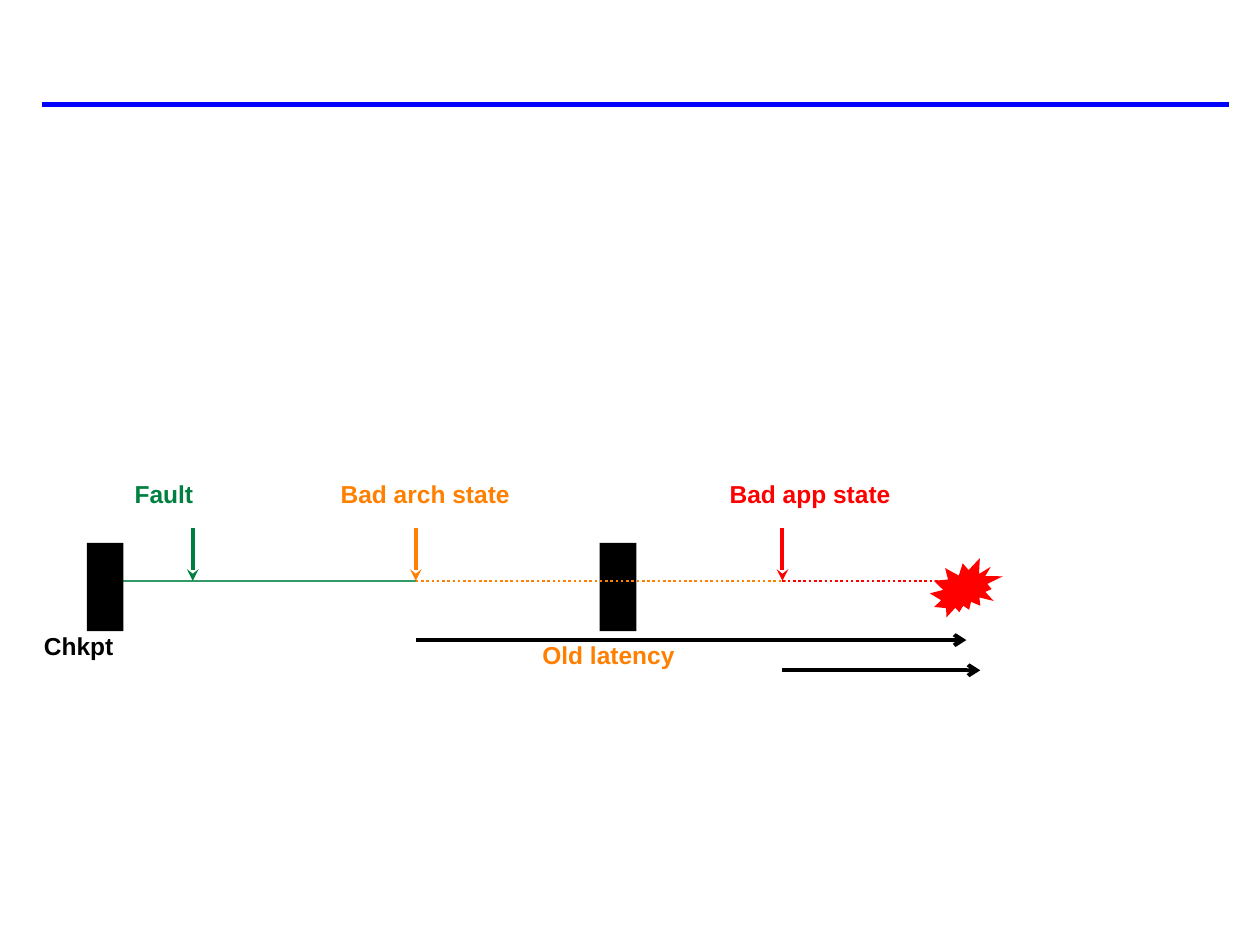
"""Build a fault timeline with checkpoints, state changes and detection latencies."""
from dataclasses import dataclass

from lxml.etree import SubElement
from pptx import Presentation
from pptx.dml.color import RGBColor
from pptx.enum.dml import MSO_LINE
from pptx.enum.shapes import MSO_CONNECTOR, MSO_SHAPE
from pptx.enum.text import PP_ALIGN
from pptx.oxml.ns import qn
from pptx.util import Inches, Pt


@dataclass(frozen=True)
class Theme:
    black: str = "000000"
    blue: str = "0000FF"
    light_green: str = "339966"
    green: str = "008040"
    orange: str = "FF8000"
    red: str = "FF0000"
    font: str = "Arial"
    label_size: int = 14
    thin: float = 1.5
    medium: float = 2.25
    thick: float = 3


theme = Theme()
presentation = Presentation()
presentation.slide_width = Inches(10)
presentation.slide_height = Inches(7.5)
slide = presentation.slides.add_slide(presentation.slide_layouts[6])


def add_line(start, end, color, width, dash=None, arrowhead=None):
    connector = slide.shapes.add_connector(
        MSO_CONNECTOR.STRAIGHT, *(Inches(value) for value in start + end))
    connector.line.color.rgb = RGBColor.from_string(color)
    line_format = {"width": Pt(width), "dash_style": dash}
    for name, value in line_format.items():
        setattr(connector.line, name, value)
    if arrowhead:
        SubElement(connector.line._get_or_add_ln(), qn("a:tailEnd"), type=arrowhead)
    SubElement(connector._element.spPr, qn("a:effectLst"))


def add_solid(shape_type, left, top, width, height, color):
    shape = slide.shapes.add_shape(
        shape_type, Inches(left), Inches(top), Inches(width), Inches(height))
    shape.shadow.inherit = False
    shape.fill.solid()
    shape.fill.fore_color.rgb = RGBColor.from_string(color)
    shape.line.fill.background()


timeline_y = 4.61
fault_x, arch_x, app_x = 1.53, 3.3, 6.21
checkpoint_lefts = (0.69, 4.76)

add_line((0.33, 0.83), (9.75, 0.83), theme.blue, theme.thick)
add_line((checkpoint_lefts[0], timeline_y), (arch_x, timeline_y),
         theme.light_green, theme.thin)

for left in checkpoint_lefts:
    add_solid(MSO_SHAPE.RECTANGLE, left, 4.31, 0.29, 0.7, theme.black)
add_solid(MSO_SHAPE.EXPLOSION2, 7.38, 4.43, 0.58, 0.47, theme.red)

for start_x, end_x, color in ((arch_x, 6.27, theme.orange), (app_x, 7.61, theme.red)):
    add_line((start_x, timeline_y), (end_x, timeline_y), color, theme.thin,
             dash=MSO_LINE.ROUND_DOT)

for event_x, color in ((fault_x, theme.green), (arch_x, theme.orange), (app_x, theme.red)):
    add_line((event_x, 4.19), (event_x, timeline_y), color, theme.medium,
             arrowhead="stealth")

for start_x, end_x, latency_y in ((arch_x, 7.67, 5.08), (app_x, 7.78, 5.32)):
    add_line((start_x, latency_y), (end_x, latency_y), theme.black, theme.medium,
             arrowhead="arrow")

labels = (
    ("Fault", 0.97, 3.75, 1.17, theme.green, PP_ALIGN.LEFT),
    ("Bad arch state", 2.02, 3.75, 2.71, theme.orange, PP_ALIGN.CENTER),
    ("Bad app state", 4.61, 3.75, 3.64, theme.red, PP_ALIGN.CENTER),
    ("Old latency", 3.01, 5.03, 3.64, theme.orange, PP_ALIGN.CENTER),
    ("Chkpt", 0.25, 4.96, 1.32, theme.black, PP_ALIGN.LEFT),
)
label_format = {"name": theme.font, "size": Pt(theme.label_size), "bold": True}
for text, left, top, width, color, alignment in labels:
    label = slide.shapes.add_textbox(
        Inches(left), Inches(top), Inches(width), Inches(0.47))
    label.text_frame.word_wrap = True
    paragraph = label.text_frame.paragraphs[0]
    paragraph.alignment = alignment
    run = paragraph.add_run()
    run.text = text
    for name, value in label_format.items():
        setattr(run.font, name, value)
    run.font.color.rgb = RGBColor.from_string(color)

presentation.save("out.pptx")
